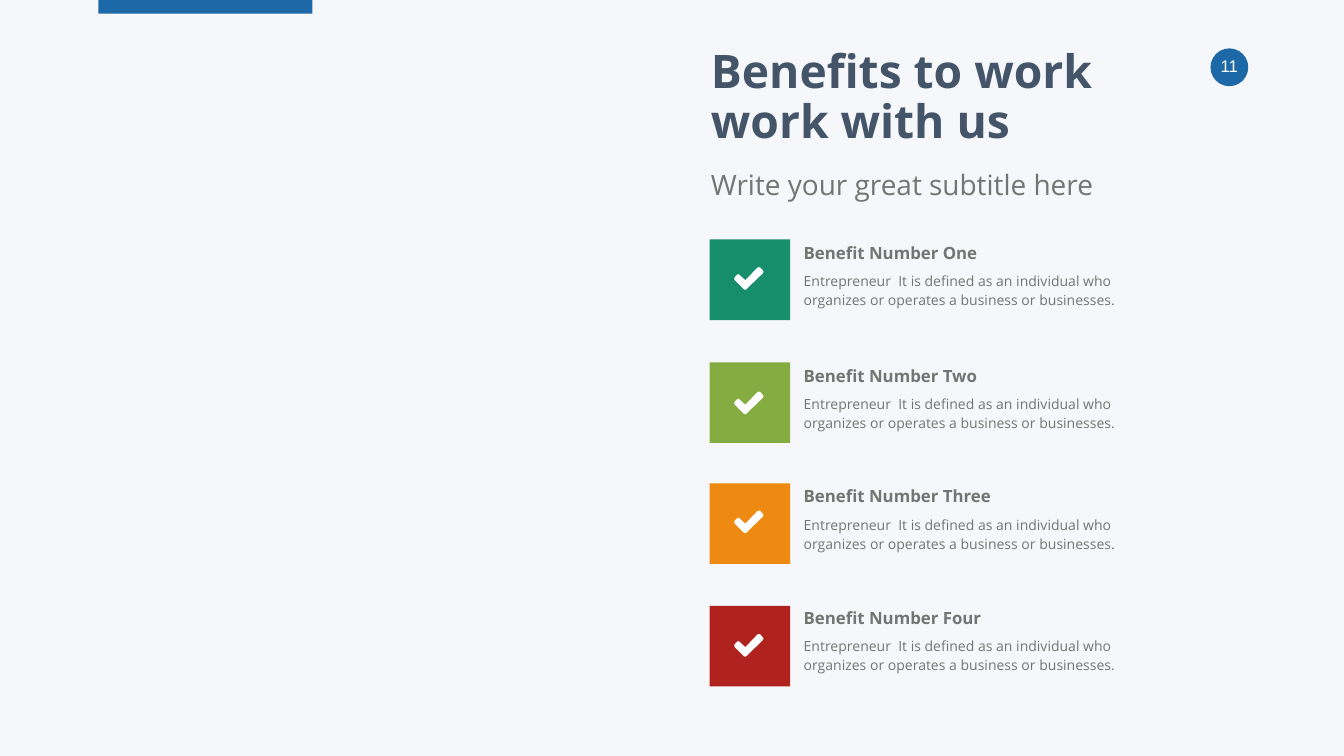
from pptx import Presentation
from pptx.dml.color import RGBColor
from pptx.enum.shapes import MSO_SHAPE
from pptx.enum.text import PP_ALIGN
from pptx.util import Emu, Pt

RECTANGLE = MSO_SHAPE.RECTANGLE
OVAL = MSO_SHAPE.OVAL
LEFT = PP_ALIGN.LEFT
CENTER = PP_ALIGN.CENTER

PX = 9144  # EMU in one px, 100 px to the inch

BACKGROUND = "F6F7FA"
BLUE = "1D68A6"
NAVY = "445469"
GRAY = "737572"
WHITE = "FFFFFF"

PAGE_NUMBER = {"name": "Arial", "size": Pt(24)}
TITLE = {"name": "Open Sans", "size": Pt(66), "bold": True}
SUBTITLE = {"name": "Open Sans", "size": Pt(40)}
HEADING = {"name": "Open Sans", "size": Pt(24), "bold": True}
BODY = {"name": "Open Sans", "size": Pt(20)}

TILE_LEFT, TILE_SIZE = 1408, 160
CHECK_LEFT = 1457
TEXT_LEFT, TEXT_WIDTH = 1585, 684
HEADING_HEIGHT, BODY_HEIGHT = 62, 94

DESCRIPTION = (
    "Entrepreneur  It is defined as an individual who "
    "organizes or operates a business or businesses."
)
# heading, tile colour, then the tops of tile, heading, description and check
BENEFITS = [
    ("Benefit Number One", "178E6B", 475, 471, 530, 530),
    ("Benefit Number Two", "84AC40", 719, 714, 774, 777),
    ("Benefit Number Three", "EE8A12", 959, 952, 1014, 1013),
    ("Benefit Number Four", "B0221D", 1202, 1194, 1255, 1258),
]
CHECK_OUTLINE = [
    (57, 12), (29, 39), (24, 44), (22, 45), (19, 44), (14, 39),
    (1, 26), (0, 23), (1, 20), (6, 15), (8, 14), (10, 15),
    (22, 26), (46, 1), (49, 0), (52, 1), (57, 7), (58, 9),
]


def px(length):
    return Emu(length * PX)


def color(value):
    return RGBColor.from_string(value)


def paint(shape, fill):
    """Give a shape a flat fill without line or shadow."""
    shape.shadow.inherit = False
    shape.fill.solid()
    shape.fill.fore_color.rgb = color(fill)
    shape.line.fill.background()


def add_block(slide, kind, left, top, width, height, fill):
    shape = slide.shapes.add_shape(kind, px(left), px(top), px(width), px(height))
    paint(shape, fill)


def add_check(slide, left, top):
    builder = slide.shapes.build_freeform(*CHECK_OUTLINE[0], scale=PX)
    builder.add_line_segments(CHECK_OUTLINE[1:], close=True)
    paint(builder.convert_to_shape(px(left), px(top)), WHITE)


def add_text(slide, box, lines, font_format, text_color,
             spacing=1.0, inset_top=5, alignment=LEFT):
    """Add a text box with one paragraph for each line."""
    text_box = slide.shapes.add_textbox(*map(px, box))
    frame = text_box.text_frame
    frame.word_wrap = True
    frame.margin_top = px(inset_top)
    frame.text = "\n".join(lines)
    for paragraph in frame.paragraphs:
        paragraph.alignment = alignment
        paragraph.line_spacing = spacing
        for name, value in font_format.items():
            setattr(paragraph.font, name, value)
        paragraph.font.color.rgb = color(text_color)


def add_benefit(slide, heading, fill, tile_top, heading_top, body_top, check_top):
    add_block(slide, RECTANGLE, TILE_LEFT, tile_top, TILE_SIZE, TILE_SIZE, fill)
    add_text(slide, (TEXT_LEFT, body_top, TEXT_WIDTH, BODY_HEIGHT),
             [DESCRIPTION], BODY, GRAY, spacing=1.15)
    add_text(slide, (TEXT_LEFT, heading_top, TEXT_WIDTH, HEADING_HEIGHT),
             [heading], HEADING, GRAY, spacing=1.15)
    add_check(slide, CHECK_LEFT, check_top)


def main():
    presentation = Presentation()
    presentation.slide_width = px(2667)
    presentation.slide_height = px(1500)
    slide = presentation.slides.add_slide(presentation.slide_layouts[6])
    slide.background.fill.solid()
    slide.background.fill.fore_color.rgb = color(BACKGROUND)

    add_block(slide, OVAL, 2402, 96, 75, 75, BLUE)
    add_text(slide, (2381, 102, 117, 80), ["11"], PAGE_NUMBER, WHITE,
             inset_top=9, alignment=CENTER)
    add_block(slide, RECTANGLE, 195, 0, 425, 27, BLUE)
    add_text(slide, (1401, 87, 1175, 241), ["Benefits to work", "work with us"],
             TITLE, NAVY, spacing=0.9, inset_top=9)
    add_text(slide, (1401, 331, 1175, 93), ["Write your great subtitle here"],
             SUBTITLE, GRAY, spacing=0.9, inset_top=9)
    for benefit in BENEFITS:
        add_benefit(slide, *benefit)

    presentation.save("out.pptx")


if __name__ == "__main__":
    main()
